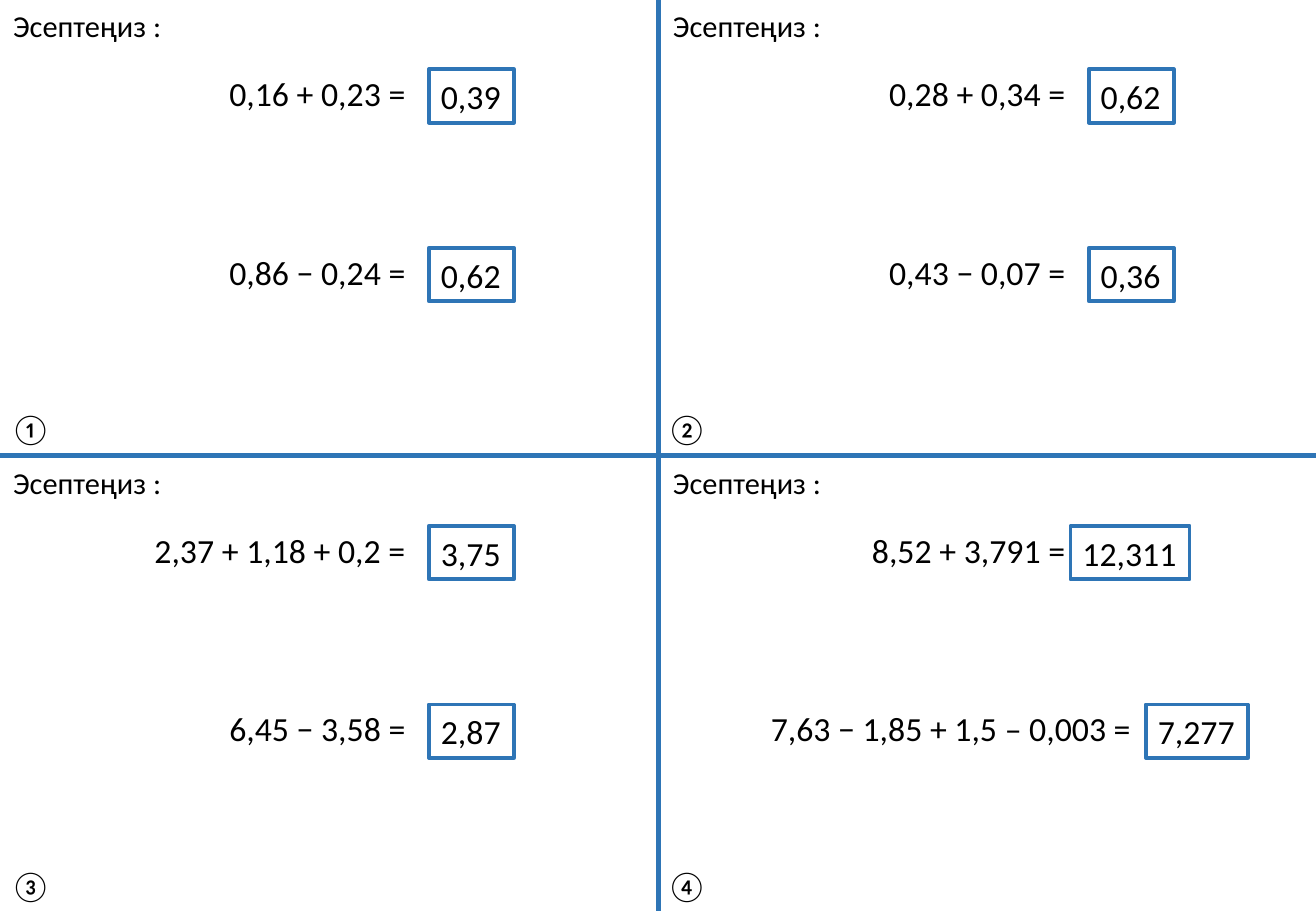
from dataclasses import dataclass

from lxml.etree import SubElement
from pptx import Presentation
from pptx.dml.color import RGBColor
from pptx.enum.shapes import MSO_CONNECTOR, MSO_SHAPE
from pptx.enum.text import MSO_ANCHOR, MSO_AUTO_SIZE, PP_ALIGN
from pptx.oxml.ns import qn
from pptx.shapes.autoshape import Shape
from pptx.slide import Slide
from pptx.util import Emu, Pt

PAGE_WIDTH, PAGE_HEIGHT = 1083, 750
COLUMN_STEP, ROW_STEP = 543, 376
EXERCISE_TOP, EXERCISE_STEP = 55, 147
EXERCISE_HEIGHT, LABEL_HEIGHT = 44, 40
FONT, BLUE, BLACK, WHITE = "Calibri", "2E75B6", "000000", "FFFFFF"


@dataclass(frozen=True)
class Exercise:
    """Horizontal lengths are measured from the left of the card."""
    expression: str
    answer: str
    expression_width: int = 173
    expression_right: int = 350
    answer_left: int = 353
    answer_width: int = 70


@dataclass(frozen=True)
class Card:
    number: str
    exercises: tuple[Exercise, ...]
    number_left: int = -1


CARDS = (
    Card("①", (Exercise("0,16 + 0,23 = ", "0,39"),
               Exercise("0,86 − 0,24 = ", "0,62"))),
    Card("②", (Exercise("0,28 + 0,34 = ", "0,62"),
               Exercise("0,43 − 0,07 = ", "0,36")), number_left=-4),
    Card("③", (Exercise("2,37 + 1,18 + 0,2 = ", "3,75", expression_width=235),
               Exercise("6,45 − 3,58 = ", "2,87"))),
    Card("④", (Exercise("8,52 + 3,791 = ", "12,311", expression_width=187,
                        answer_left=338, answer_width=98),
               Exercise("7,63 − 1,85 + 1,5 – 0,003 = ", "7,277",
                        expression_width=325, expression_right=404,
                        answer_left=400, answer_width=84)), number_left=-4),
)


def px(length: int) -> Emu:
    """One px is a hundredth of an inch."""
    return Emu(length * 9144)


def color(value: str) -> RGBColor:
    return RGBColor.from_string(value)


def write(box: Shape, text: str, *, size: int = 18,
          align: PP_ALIGN = PP_ALIGN.LEFT,
          anchor: MSO_ANCHOR = MSO_ANCHOR.TOP) -> None:
    frame = box.text_frame
    frame.word_wrap = False
    frame.auto_size = MSO_AUTO_SIZE.SHAPE_TO_FIT_TEXT
    frame.vertical_anchor = anchor
    para = frame.paragraphs[0]
    para.alignment = align
    span = para.add_run()
    span.text = text
    span.font.name = FONT
    span.font.size = Pt(size)
    span.font.color.rgb = color(BLACK)


def add_text(page: Slide, text: str, left: int, top: int, width: int,
             height: int, *, size: int = 18,
             align: PP_ALIGN = PP_ALIGN.LEFT) -> None:
    box = page.shapes.add_textbox(px(left), px(top), px(width), px(height))
    write(box, text, size=size, align=align)


def add_answer(page: Slide, text: str, left: int, top: int, width: int) -> None:
    box = page.shapes.add_shape(MSO_SHAPE.RECTANGLE, px(left), px(top),
                                px(width), px(EXERCISE_HEIGHT))
    box.shadow.inherit = False
    box.fill.solid()
    box.fill.fore_color.rgb = color(WHITE)
    box.line.color.rgb = color(BLUE)
    box.line.width = Pt(2.25)
    write(box, text, size=20, align=PP_ALIGN.JUSTIFY, anchor=MSO_ANCHOR.MIDDLE)


def add_divider(page: Slide, x1: int, y1: int, x2: int, y2: int) -> None:
    line = page.shapes.add_connector(MSO_CONNECTOR.STRAIGHT,
                                     px(x1), px(y1), px(x2), px(y2))
    line.line.color.rgb = color(BLUE)
    line.line.width = Pt(3)
    SubElement(line._element.spPr, qn("a:effectLst"))


def add_card(page: Slide, card: Card, left: int, top: int) -> None:
    add_text(page, "Эсептеңиз :", left + 1, top + 1, 144, LABEL_HEIGHT)
    add_text(page, card.number, left + card.number_left, top + 333,
             54, LABEL_HEIGHT)
    for index, exercise in enumerate(card.exercises):
        exercise_top = top + EXERCISE_TOP + index * EXERCISE_STEP
        expression_left = exercise.expression_right - exercise.expression_width
        add_text(page, exercise.expression, left + expression_left,
                 exercise_top, exercise.expression_width, EXERCISE_HEIGHT,
                 size=20, align=PP_ALIGN.RIGHT)
        add_answer(page, exercise.answer, left + exercise.answer_left,
                   exercise_top + 2, exercise.answer_width)


def main() -> None:
    deck = Presentation()
    deck.slide_width, deck.slide_height = px(PAGE_WIDTH), px(PAGE_HEIGHT)
    page = deck.slides.add_slide(deck.slide_layouts[6])
    add_divider(page, 542, 0, 542, PAGE_HEIGHT)
    add_divider(page, 0, 375, PAGE_WIDTH, 375)
    for index, card in enumerate(CARDS):
        row, column = divmod(index, 2)
        add_card(page, card, column * COLUMN_STEP, row * ROW_STEP)
    deck.save("out.pptx")


if __name__ == "__main__":
    main()
